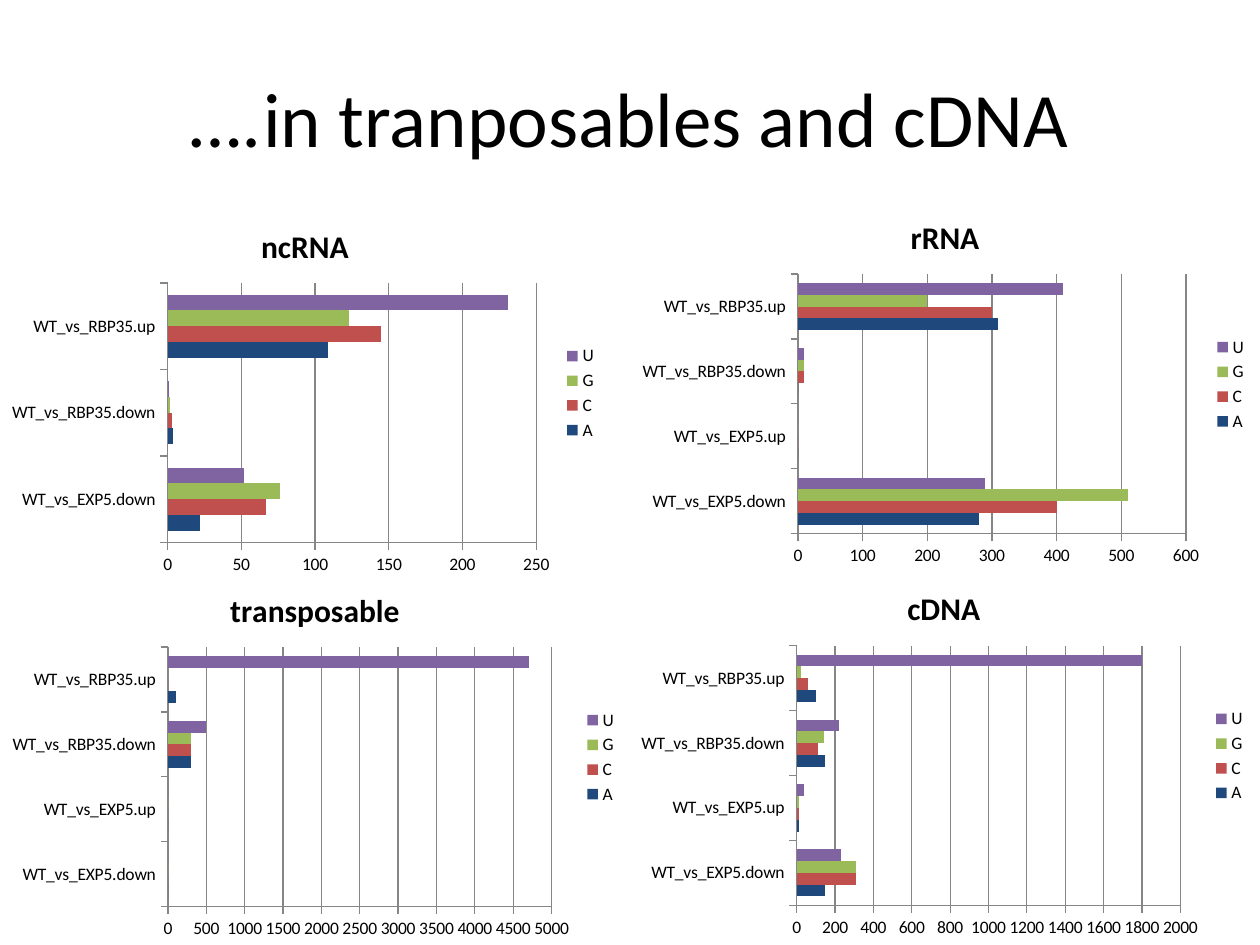
from dataclasses import dataclass

from pptx import Presentation
from pptx import util as u
from pptx.chart.data import CategoryChartData
from pptx.dml.color import RGBColor
from pptx.enum import chart as charts, text


@dataclass(frozen=True)
class Theme:
    """Fonts, type sizes and colours of the slide."""
    font: str = "Calibri"
    title_size: int = 44
    heading_size: int = 18
    label_size: int = 10
    ink: str = "000000"
    rule: str = "868686"
    bases: tuple = (("A", "1F497D"), ("C", "C0504D"),
                    ("G", "9BBB59"), ("U", "8064A2"))


THEME = Theme()
CONDITIONS = ("WT_vs_EXP5.down", "WT_vs_EXP5.up",
              "WT_vs_RBP35.down", "WT_vs_RBP35.up")
CHARTS = (
    ("ncRNA", (0, 116.64, 348.48, 216), (CONDITIONS[0], *CONDITIONS[2:]),
     ((22, 4, 109), (67, 3, 145), (76, 2, 123), (52, 1, 231))),
    ("rRNA", (360, 111.6, 360, 216), CONDITIONS,
     ((280, 0, 0, 310), (400, 0, 10, 300), (510, 0, 10, 200), (290, 0, 10, 410))),
    ("transposable", (0, 324.72, 360, 216), CONDITIONS,
     ((0, 0, 300, 100), (0, 0, 300, 0), (0, 0, 300, 0), (0, 0, 500, 4700))),
    ("cDNA", (359.28, 324, 360, 216), CONDITIONS,
     ((150, 10, 150, 100), (310, 10, 110, 60), (310, 10, 140, 20),
      (230, 40, 220, 1800))),
)


def points(box):
    """Turn a box of numbers into lengths in points."""
    return [u.Pt(length) for length in box]


def style_font(font, size, bold=False):
    """Apply the theme's typeface and ink at the given size."""
    font.name = THEME.font
    font.size = u.Pt(size)
    font.bold = bold
    font.color.rgb = RGBColor.from_string(THEME.ink)


def style_line(line):
    """Draw an axis or gridline in the theme's rule colour."""
    line.color.rgb = RGBColor.from_string(THEME.rule)
    line.width = u.Pt(0.75)


def add_title(slide, box):
    """Place the slide title with its italic lead-in dots."""
    frame = slide.shapes.add_textbox(*points(box)).text_frame
    frame.word_wrap = True
    frame.vertical_anchor = text.MSO_ANCHOR.MIDDLE
    paragraph = frame.paragraphs[0]
    paragraph.alignment = text.PP_ALIGN.CENTER
    style_font(paragraph.font, THEME.title_size)
    for words, italic in (("….", True), ("in tranposables and cDNA", False)):
        run = paragraph.add_run()
        run.text = words
        run.font.italic = italic


def add_base_chart(slide, box, heading, conditions, counts):
    """Place a clustered bar chart of base counts for each condition."""
    data = CategoryChartData()
    data.categories = conditions
    for (base, _), values in zip(THEME.bases, counts):
        data.add_series(base, values)
    chart = slide.shapes.add_chart(
        charts.XL_CHART_TYPE.BAR_CLUSTERED, *points(box), data).chart
    style_font(chart.font, THEME.label_size)

    chart.has_title = True
    chart.chart_title.include_in_layout = False
    frame = chart.chart_title.text_frame
    frame.text = heading
    style_font(frame.paragraphs[0].font, THEME.heading_size, bold=True)

    chart.has_legend = True
    chart.legend.position = charts.XL_LEGEND_POSITION.RIGHT
    chart.legend.include_in_layout = False

    for axis in (chart.category_axis, chart.value_axis):
        axis.major_tick_mark = charts.XL_TICK_MARK.OUTSIDE
        axis.minor_tick_mark = charts.XL_TICK_MARK.NONE
        style_line(axis.format.line)
    chart.value_axis.has_major_gridlines = True
    style_line(chart.value_axis.major_gridlines.format.line)

    plot = chart.plots[0]
    plot.gap_width = 150
    plot.vary_by_categories = False
    for series, (_, color) in zip(plot.series, THEME.bases):
        series.format.fill.solid()
        series.format.fill.fore_color.rgb = RGBColor.from_string(color)


def main():
    """Build the slide and save it."""
    presentation = Presentation()
    presentation.slide_width, presentation.slide_height = points((720, 540))
    slide = presentation.slides.add_slide(presentation.slide_layouts[6])
    add_title(slide, (36, 21.6, 648, 90))
    for heading, box, conditions, counts in CHARTS:
        add_base_chart(slide, box, heading, conditions, counts)
    presentation.save("out.pptx")


if __name__ == "__main__":
    main()
